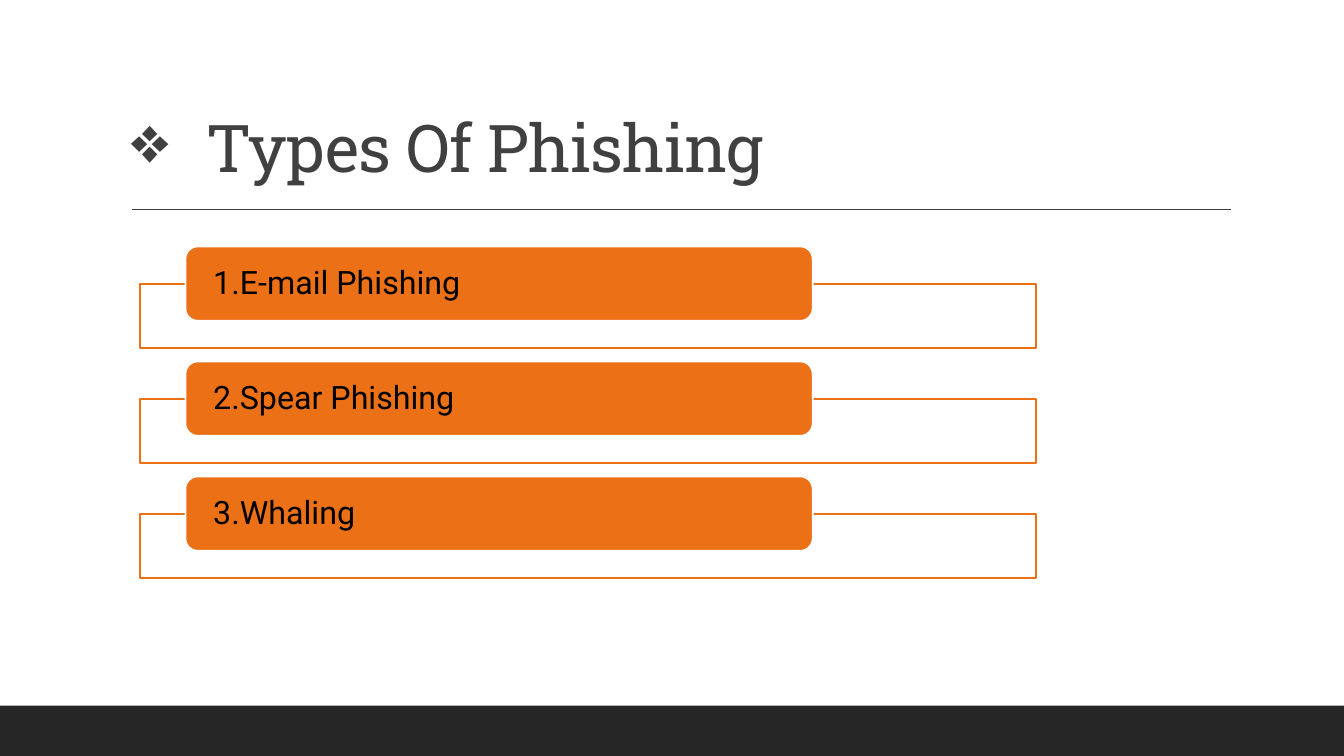
from lxml.etree import SubElement
from pptx import Presentation
from pptx.dml.color import RGBColor
from pptx.enum.shapes import MSO_CONNECTOR, MSO_SHAPE
from pptx.enum.text import MSO_ANCHOR, MSO_AUTO_SIZE, PP_ALIGN
from pptx.oxml.ns import qn
from pptx.util import Inches, Pt

DARK, GREY, ORANGE, WHITE, BLACK = "262626", "404040", "EC7016", "FFFFFF", "000000"


def color(value):
    return RGBColor.from_string(value)


class PhishingSlide:
    """Places elements on a grid of 100 columns by 100 rows."""

    title_font, body_font = "Roboto Slab", "Roboto"

    def __init__(self, presentation):
        self.column = presentation.slide_width / 100
        self.row = presentation.slide_height / 100
        self.slide = presentation.slides.add_slide(presentation.slide_layouts[5])

    def place(self, left, top, width, height):
        return (round(left * self.column), round(top * self.row),
                round(width * self.column), round(height * self.row))

    def set_text(self, frame, text, frame_format, font_format, font_color):
        for name, value in frame_format.items():
            setattr(frame, name, value)
        paragraph = frame.paragraphs[0]
        paragraph.alignment = PP_ALIGN.LEFT
        paragraph.line_spacing = 0.9
        run = paragraph.add_run()
        run.text = text
        for name, value in font_format.items():
            setattr(run.font, name, value)
        run.font.color.rgb = color(font_color)
        return paragraph, run

    def title(self, text, bullet, *area):
        shape = self.slide.shapes.title
        shape.left, shape.top, shape.width, shape.height = self.place(*area)
        paragraph, run = self.set_text(
            shape.text_frame, text,
            {"vertical_anchor": MSO_ANCHOR.BOTTOM, "word_wrap": True,
             "auto_size": MSO_AUTO_SIZE.NONE},
            {"name": self.title_font, "size": Pt(47)}, GREY)
        # Hanging bullet and tightened letters
        properties = paragraph._p.get_or_add_pPr()
        properties.set("marL", str(Inches(0.75)))
        properties.set("indent", str(-Inches(0.75)))
        SubElement(properties, qn("a:buChar")).set("char", bullet)
        run._r.get_or_add_rPr().set("spc", "-50")

    def box(self, kind, area, fill, line=None, opacity=None):
        shape = self.slide.shapes.add_shape(kind, *self.place(*area))
        shape.shadow.inherit = False
        shape.fill.solid()
        shape.fill.fore_color.rgb = color(fill)
        if opacity:
            fill_color = shape._element.spPr.find(qn("a:solidFill"))[0]
            SubElement(fill_color, qn("a:alpha")).set("val", str(opacity * 1000))
        if line:
            shape.line.color.rgb = color(line)
            shape.line.width = Pt(1.25)
        else:
            shape.line.fill.background()
        return shape

    def rule(self, left, right, top):
        x, y, width, _ = self.place(left, top, right - left, 0)
        line = self.slide.shapes.add_connector(
            MSO_CONNECTOR.STRAIGHT, x, y, x + width, y)
        line.line.color.rgb = color(GREY)
        line.line.width = Pt(1)
        SubElement(line._element.spPr, qn("a:effectLst"))

    def item(self, text, top):
        self.box(MSO_SHAPE.RECTANGLE, (10.43, top + 5, 66.68, 8.4),
                 WHITE, ORANGE, opacity=90)
        label = self.box(MSO_SHAPE.ROUNDED_RECTANGLE, (13.8, top, 46.67, 9.84),
                         ORANGE, WHITE)
        self.set_text(
            label.text_frame, text,
            {"vertical_anchor": MSO_ANCHOR.MIDDLE, "word_wrap": True,
             "margin_left": Inches(0.24), "margin_right": Inches(0.24),
             "margin_top": 0, "margin_bottom": 0},
            {"name": self.body_font, "size": Pt(23)}, BLACK)


def main():
    presentation = Presentation()
    presentation.slide_width, presentation.slide_height = Inches(13.33), Inches(7.5)
    page = PhishingSlide(presentation)

    # Footer band, title and rule
    page.box(MSO_SHAPE.RECTANGLE, (0, 93.33, 100, 6.67), DARK)
    page.title("Types Of Phishing", "❖", 9, 4.13, 82.5, 21.2)
    page.rule(9.83, 91.6, 27.7)

    # List of phishing types
    kinds = ["1.E-mail Phishing", "2.Spear Phishing", "3.Whaling"]
    for index, kind in enumerate(kinds):
        page.item(kind, 32.6 + index * 15.21)

    presentation.save("out.pptx")


if __name__ == "__main__":
    main()
